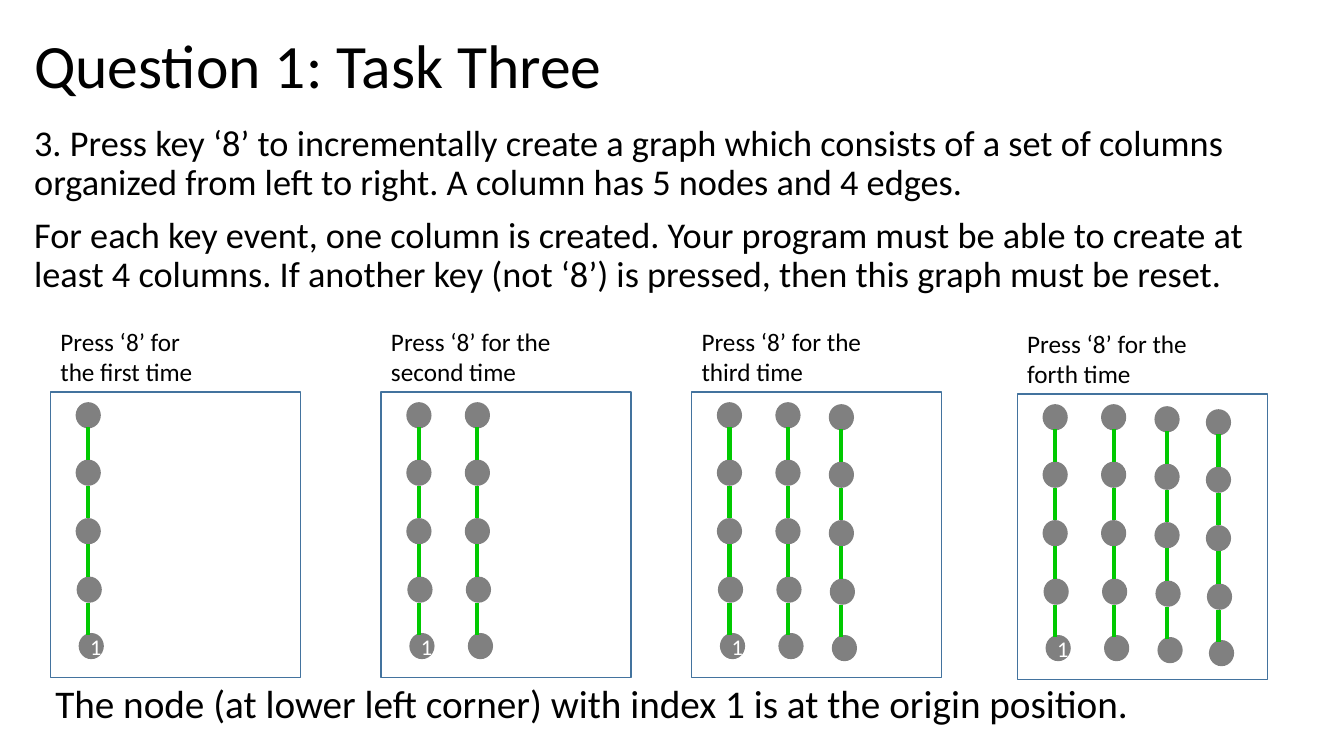
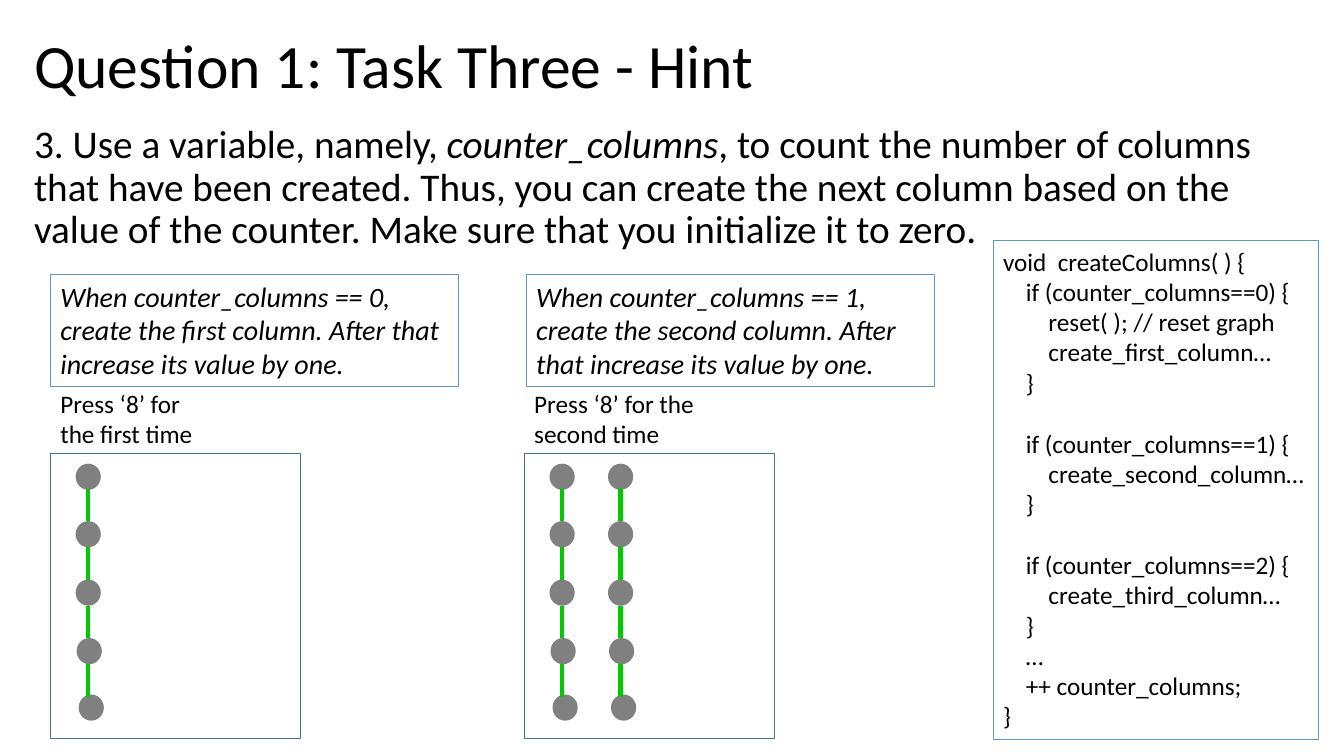
from pptx import Presentation
from pptx.dml.color import RGBColor
from pptx.enum.shapes import MSO_CONNECTOR, MSO_SHAPE
from pptx.enum.text import MSO_ANCHOR, PP_ALIGN
from pptx.oxml.ns import qn
from pptx.util import Inches, Pt
from lxml import etree

BLACK = RGBColor(0x00, 0x00, 0x00)
WHITE = RGBColor(0xFF, 0xFF, 0xFF)
GRAY = RGBColor(0x80, 0x80, 0x80)
GREEN = RGBColor(0x00, 0xC9, 0x00)
FRAME_BLUE = RGBColor(0x43, 0x73, 0x9E)
NOTE_BLUE = RGBColor(0x5B, 0x9B, 0xD5)

OVAL, RECT = MSO_SHAPE.OVAL, MSO_SHAPE.RECTANGLE
STRAIGHT = MSO_CONNECTOR.STRAIGHT
TOP, MIDDLE = MSO_ANCHOR.TOP, MSO_ANCHOR.MIDDLE
CENTER = PP_ALIGN.CENTER

FONT = "Calibri"
NODE_W, NODE_H = 0.25, 0.26
EDGE_LENGTH = 0.32
COLUMN_OFFSETS = [(0.25, 0.1), (0.83, 0.1), (1.36, 0.12), (1.87, 0.15)]
NODE_OFFSETS = [(0, 0), (0, 0.57), (0, 1.15), (0.01, 1.73), (0.03, 2.29)]
EDGE_ENDS = [0.57, 1.15, 1.73, 2.31]

CODE_BLOCKS = [
    """void  createColumns( ) {
    if (counter_columns==0) {
        reset( ); // reset graph
        create_first_column…
    }""",
    """    if (counter_columns==1) {
        create_second_column…
    }""",
    """    if (counter_columns==2) {
        create_third_column…
    }
    …
    ++ counter_columns;
}""",
]


class Deck:
    def __init__(self):
        self.prs = Presentation()
        self.prs.slide_width = Inches(13.33)
        self.prs.slide_height = Inches(7.5)
        self.s = None

    def slide(self, title):
        self.s = self.prs.slides.add_slide(self.prs.slide_layouts[6])
        self.text(0.24, -0.05, 11.5, 1.45, [title], 44, spacing=0.9, anchor=MIDDLE)

    def text(self, x, y, w, h, paragraphs, size, spacing=None, anchor=TOP,
             italic=False, wrap=True):
        """Add a text box; a paragraph is a string or a list of (text, italic)."""
        sp = self.s.shapes.add_textbox(Inches(x), Inches(y), Inches(w), Inches(h))
        tf = sp.text_frame
        tf.word_wrap = wrap
        tf.vertical_anchor = anchor
        for i, content in enumerate(paragraphs):
            p = tf.add_paragraph() if i else tf.paragraphs[0]
            p.font.name, p.font.size = FONT, Pt(size)
            p.font.color.rgb = BLACK
            if spacing:
                p.line_spacing = spacing
            if isinstance(content, str):
                content = [(content, italic)]
            for words, slanted in content:
                r = p.add_run()
                r.text = words
                if slanted:
                    r.font.italic = True
        return sp

    def body(self, h, paragraphs, size):
        sp = self.text(0.24, 1.19, 12.89, h, paragraphs, size, spacing=0.9)
        for p in sp.text_frame.paragraphs[1:]:
            p.space_before = Pt(10)

    def note(self, *args, **style):
        """Add a text box with a thin blue outline."""
        sp = self.text(*args, **style)
        sp.line.color.rgb = NOTE_BLUE
        sp.line.width = Pt(0.75)
        return sp

    def node(self, x, y, label=None):
        sp = self.s.shapes.add_shape(OVAL, Inches(x), Inches(y),
                                     Inches(NODE_W), Inches(NODE_H))
        sp.shadow.inherit = False
        sp.fill.solid()
        sp.fill.fore_color.rgb = GRAY
        sp.line.fill.background()
        if label:
            p = sp.text_frame.paragraphs[0]
            p.text = label
            p.alignment = CENTER
            p.font.name, p.font.size = FONT, Pt(16)
            p.font.color.rgb = WHITE

    def edge(self, x, y):
        """Add an edge that rises from y."""
        line = self.s.shapes.add_connector(STRAIGHT, Inches(x), Inches(y),
                                           Inches(x), Inches(y - EDGE_LENGTH))
        line.line.color.rgb = GREEN
        line.line.width = Pt(3)
        etree.SubElement(line._element.spPr, qn("a:effectLst"))

    def column(self, x, y, label=None):
        last = len(NODE_OFFSETS) - 1
        for i, (dx, dy) in enumerate(NODE_OFFSETS):
            self.node(x + dx, y + dy, label if i == last else None)
            if i:
                self.edge(x + NODE_W / 2, y + EDGE_ENDS[i - 1])

    def graph(self, x, y, columns, caption, caption_w, label=None):
        for i, (dx, dy) in enumerate(COLUMN_OFFSETS[:columns]):
            self.column(x + dx, y + dy, None if i else label)
        frame = self.s.shapes.add_shape(RECT, Inches(x), Inches(y),
                                        Inches(2.48), Inches(2.83))
        frame.shadow.inherit = False
        frame.fill.background()
        frame.line.color.rgb = FRAME_BLUE
        frame.line.width = Pt(1)
        self.text(x, y - 0.7, caption_w, 0.71, [caption], 18)

    def code(self, x, y, w, h, blocks):
        """Add a code box with one empty line's height between blocks."""
        lines = [block.split("\n") for block in blocks]
        sp = self.note(x, y, w, h, sum(lines, []), 18, wrap=False)
        start = 0
        for block in lines[:-1]:
            start += len(block)
            sp.text_frame.paragraphs[start].space_before = Pt(22)


def main():
    deck = Deck()

    deck.slide("Question 1: Task Three")
    deck.body(1.91, [
        "3. Press key ‘8’ to incrementally create a graph which consists of a set of "
        "columns organized from left to right. A column has 5 nodes and 4 edges.",
        "For each key event, one column is created. Your program must be able to create "
        "at least 4 columns. If another key (not ‘8’) is pressed, then this graph must "
        "be reset.",
    ], 25.9)
    graphs = [
        (0.5, 3.89, "Press ‘8’ for the first time", 1.61),
        (3.78, 3.89, "Press ‘8’ for the second time", 1.96),
        (6.86, 3.89, "Press ‘8’ for the third time", 1.96),
        (10.09, 3.91, "Press ‘8’ for the forth time", 1.96),
    ]
    for count, (x, y, caption, w) in enumerate(graphs, 1):
        deck.graph(x, y, count, caption, w, label="1")
    deck.text(0.45, 6.69, 11.76, 0.57, [
        "The node (at lower left corner) with index 1 is at the origin position."], 28)

    deck.slide("Question 1: Task Three - Hint")
    deck.body(1.38, [[
        ("3. Use a variable, namely, ", False),
        ("counter_columns", True),
        (", to count the number of columns that have been created. Thus, you can create "
         "the next column based on the value of the counter. Make sure that you "
         "initialize it to zero.", False),
    ]], 28)
    hints = [(0.5, 0.5, "first", 1.61), (5.22, 5.2, "second", 1.96)]
    for i, (note_x, graph_x, ordinal, w) in enumerate(hints):
        deck.graph(graph_x, 4.5, i + 1, f"Press ‘8’ for the {ordinal} time", w)
        deck.note(note_x, 2.72, 4.05, 1.11, [
            f"When counter_columns == {i}, create the {ordinal} column. "
            "After that increase its value by one."], 20, italic=True)
    deck.code(9.85, 2.39, 3.23, 4.95, CODE_BLOCKS)

    deck.prs.save("out.pptx")


if __name__ == "__main__":
    main()
